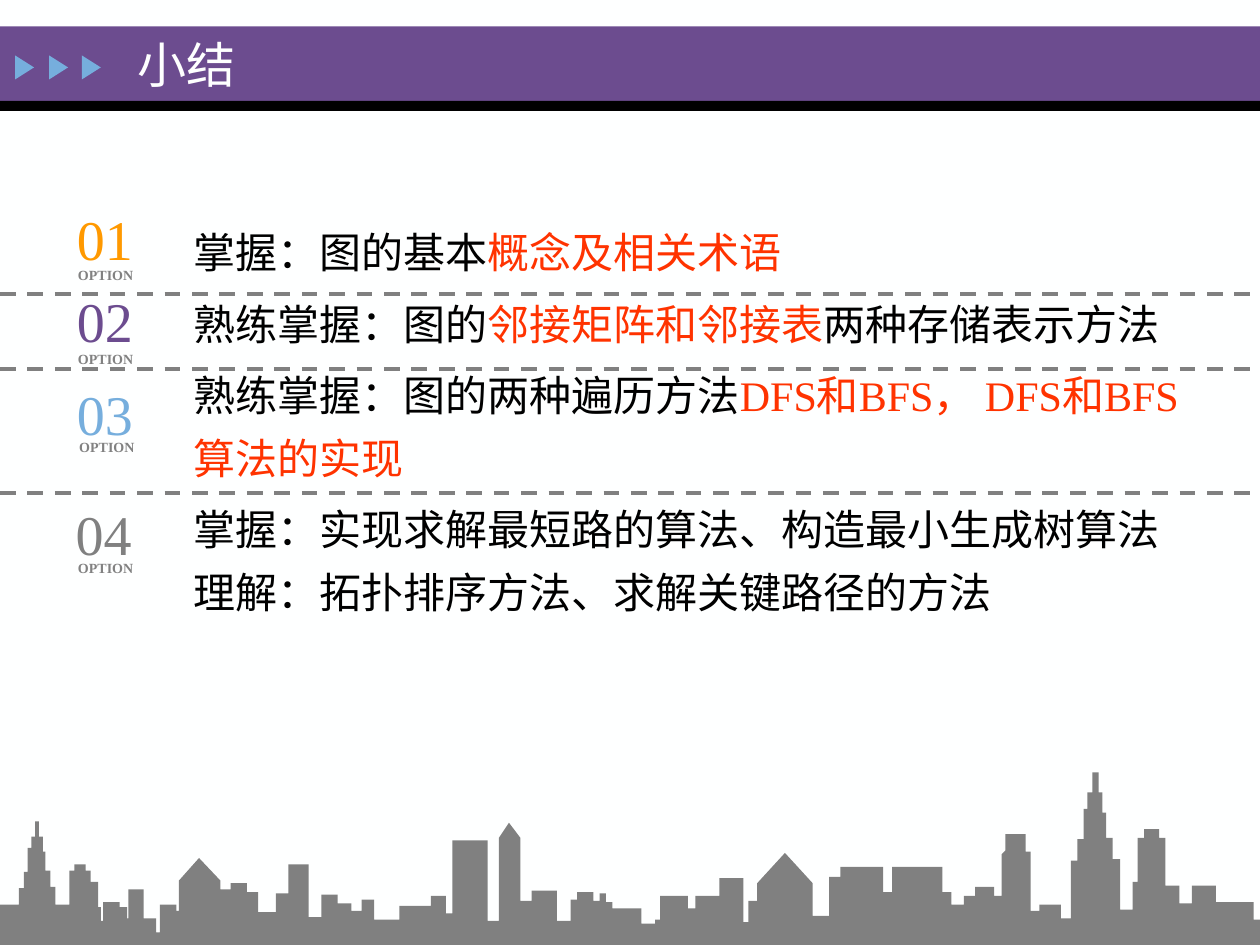
import dataclasses
import typing

import lxml.etree
import pptx
import pptx.dml.color
import pptx.enum.dml
import pptx.enum.shapes
import pptx.enum.text
import pptx.oxml.ns
import pptx.util

Inches = pptx.util.Inches
Pt = pptx.util.Pt
Shape = pptx.enum.shapes.MSO_SHAPE
Anchor = pptx.enum.text.MSO_ANCHOR
Auto = pptx.enum.text.MSO_AUTO_SIZE
qn = pptx.oxml.ns.qn

FACE = "Times New Roman"
HUES = {
    "back": "FEFFFF", "purple": "6C4C8F", "black": "000000", "blue": "76AEDD",
    "red": "FF3300", "orange": "FF9900", "gray": "808080", "label": "818181",
}


class Run(typing.NamedTuple):
    text: str
    hue: str


@dataclasses.dataclass
class Box:
    left: float
    top: float
    width: float
    height: float


@dataclasses.dataclass
class Option:
    digits: str
    hue: str
    left: float
    top: float
    label: Box


OPTIONS = [
    Option("01", "orange", 0.61, 1.62, Box(0.52, 2.07, 0.65, 0.24)),
    Option("02", "purple", 0.61, 2.27, Box(0.52, 2.73, 0.65, 0.24)),
    Option("03", "blue", 0.61, 3.01, Box(0.53, 3.43, 0.65, 0.24)),
    Option("04", "gray", 0.6, 3.96, Box(0.52, 4.39, 0.65, 0.24)),
]
GOALS = [
    [Run("掌握：图的基本", "black"), Run("概念及相关术语", "red")],
    [Run("熟练掌握：图的", "black"), Run("邻接矩阵和邻接表", "red"),
     Run("两种存储表示方法", "black")],
    [Run("熟练掌握：图的两种遍历方法", "black"),
     Run("DFS和BFS， DFS和BFS算法的实现", "red")],
    [Run("掌握：实现求解最短路的算法、构造最小生成树算法"
         "理解：拓扑排序方法、求解关键路径的方法", "black")],
]
RULES = [2.33, 2.93, 3.91]
ROOFS = {1.42: (1.58, 6.81), 3.96: (4.04, 6.53), 6.01: (6.23, 6.77), 7.95: (7.98, 6.75)}
STEPS = [
    (0, 7.18), (0.15, 7.05), (0.19, 6.92), (0.22, 6.73), (0.25, 6.64), (0.28, 6.52),
    (0.31, 6.64), (0.34, 6.76), (0.36, 6.91), (0.4, 7.04), (0.44, 7.18), (0.55, 6.91),
    (0.59, 6.86), (0.68, 6.91), (0.72, 7), (0.78, 7.2), (0.8, 7.31), (0.82, 7.16),
    (0.95, 7.2), (1.01, 7.29), (1.02, 7.06), (1.14, 7.29), (1.24, 7.4), (1.27, 7.18),
    (1.4, 7.23), (1.42, 6.99), (1.75, 7.06), (1.83, 7.01), (1.96, 7.08), (2.05, 7.24),
    (2.19, 7.09), (2.29, 6.86), (2.45, 7.28), (2.55, 7.1), (2.68, 7.17), (2.79, 7.23),
    (2.87, 7.14), (2.97, 7.3), (3.17, 7.19), (3.42, 7.11), (3.54, 7.25), (3.59, 6.67),
    (3.87, 7.31), (3.96, 6.65), (4.13, 7.15), (4.22, 7.07), (4.42, 7.31), (4.53, 7.14),
    (4.58, 7.08), (4.71, 7.15), (4.76, 7.09), (4.81, 7.16), (4.86, 7.21), (5.09, 7.33),
    (5.2, 7.3), (5.24, 7.11), (5.46, 7.21), (5.52, 7.11), (5.71, 6.97), (5.9, 7.32),
    (5.94, 7.15), (6.01, 7.01), (6.45, 7.27), (6.58, 6.96), (6.67, 6.88), (7.01, 7.08),
    (7.08, 6.88), (7.48, 7.08), (7.55, 7.18), (7.65, 7.11), (7.74, 7.04), (7.89, 7.11),
    (7.95, 6.78), (7.98, 6.62), (8.14, 6.76), (8.18, 7.23), (8.25, 7.18), (8.42, 7.29),
    (8.5, 6.83), (8.55, 6.66), (8.6, 6.42), (8.63, 6.29), (8.67, 6.13), (8.72, 6.29),
    (8.75, 6.45), (8.78, 6.65), (8.83, 6.82), (8.89, 7.22), (8.99, 7), (9.03, 6.65),
    (9.08, 6.58), (9.2, 6.65), (9.25, 7.03), (9.36, 7.17), (9.46, 7.03), (9.65, 7.16),
    (9.95, 7.3), (10, 7.5),
]


def tint(hue: str) -> pptx.dml.color.RGBColor:
    """Return the named colour."""
    return pptx.dml.color.RGBColor.from_string(HUES[hue])


def apply(thing: typing.Any, form: dict) -> None:
    """Set each format value on an object."""
    for name, value in form.items():
        setattr(thing, name, value)


def place(box: Box) -> list:
    """Return the box as lengths."""
    return [Inches(part) for part in dataclasses.astuple(box)]


def paint(shape: typing.Any, hue: str) -> None:
    """Give a shape a flat fill without line or shadow."""
    shape.shadow.inherit = False
    shape.fill.solid()
    shape.fill.fore_color.rgb = tint(hue)
    shape.line.fill.background()


def block(slide: typing.Any, kind: Shape, box: Box, hue: str, turn: float = 0) -> None:
    """Draw a filled preset shape."""
    shape = slide.shapes.add_shape(kind, *place(box))
    shape.rotation = turn
    paint(shape, hue)


def write(para: typing.Any, runs: list[Run], size: float, bold: bool = False) -> None:
    """Add coloured runs to a paragraph."""
    for part in runs:
        run = para.add_run()
        run.text = part.text
        apply(run.font, {"name": FACE, "size": Pt(size), "bold": bold})
        run.font.color.rgb = tint(part.hue)


def frame(slide: typing.Any, box: Box, form: dict) -> typing.Any:
    """Add a text box and return its text frame."""
    text = slide.shapes.add_textbox(*place(box)).text_frame
    apply(text, {"word_wrap": True, **form})
    return text


def goals(slide: typing.Any) -> None:
    """Write the learning goals."""
    text = frame(slide, Box(0.94, 1.65, 8.56, 3.98), {"auto_size": Auto.NONE})
    for rank, runs in enumerate(GOALS):
        para = text.add_paragraph() if rank else text.paragraphs[0]
        para._p.get_or_add_pPr().set("marL", str(Inches(0.5)))
        apply(para, {"line_spacing": 1.25, "space_before": Pt(4.8 if rank else 0)})
        write(para, runs, 24)


def option(slide: typing.Any, item: Option) -> None:
    """Write a number with its label."""
    sides = ("left", "top", "right", "bottom")
    form = {f"margin_{side}": 0 for side in sides}
    form |= {"vertical_anchor": Anchor.MIDDLE, "auto_size": Auto.SHAPE_TO_FIT_TEXT}
    text = frame(slide, Box(item.left, item.top, 0.49, 0.54), form)
    write(text.paragraphs[0], [Run(item.digits, item.hue)], 32)
    form = {"word_wrap": False, "auto_size": Auto.SHAPE_TO_FIT_TEXT}
    text = frame(slide, item.label, form)
    write(text.paragraphs[0], [Run("OPTION", "label")], 8, True)


def skyline(slide: typing.Any) -> None:
    """Draw the city outline from its steps and roofs."""
    dots = []
    level = 7.5
    for x, y in STEPS:
        dots += [(x, level), (x, y)]
        if x in ROOFS:
            dots.append(ROOFS[x])
        level = y
    dots = [(Inches(x), Inches(y)) for x, y in dots]
    pen = slide.shapes.build_freeform(*dots[0])
    pen.add_line_segments(dots[1:], close=True)
    paint(pen.convert_to_shape(), "gray")


def rule(slide: typing.Any, y: float) -> None:
    """Draw a dashed line across the slide."""
    kind = pptx.enum.shapes.MSO_CONNECTOR.STRAIGHT
    line = slide.shapes.add_connector(kind, 0, Inches(y), Inches(10), Inches(y))
    form = {"width": Pt(2.25), "dash_style": pptx.enum.dml.MSO_LINE.DASH}
    apply(line.line, form)
    line.line.color.rgb = tint("gray")
    lxml.etree.SubElement(line._element.spPr, qn("a:effectLst"))


def main() -> None:
    """Build the summary slide."""
    deck = pptx.Presentation()
    apply(deck, {"slide_width": Inches(10), "slide_height": Inches(7.5)})
    slide = deck.slides.add_slide(deck.slide_layouts[6])
    slide.background.fill.solid()
    slide.background.fill.fore_color.rgb = tint("back")
    block(slide, Shape.RECTANGLE, Box(0, 0.21, 10, 0.59), "purple")
    block(slide, Shape.RECTANGLE, Box(0, 0.8, 10, 0.08), "black")
    for left in (0.1, 0.37, 0.63):
        block(slide, Shape.ISOSCELES_TRIANGLE, Box(left, 0.46, 0.19, 0.15), "blue", 90)
    goals(slide)
    title = frame(slide, Box(0.99, 0.22, 1.83, 0.57), {"vertical_anchor": Anchor.MIDDLE})
    write(title.paragraphs[0], [Run("小结", "back")], 28)
    for item in OPTIONS:
        option(slide, item)
    skyline(slide)
    for y in RULES:
        rule(slide, y)
    deck.save("out.pptx")


if __name__ == "__main__":
    main()
